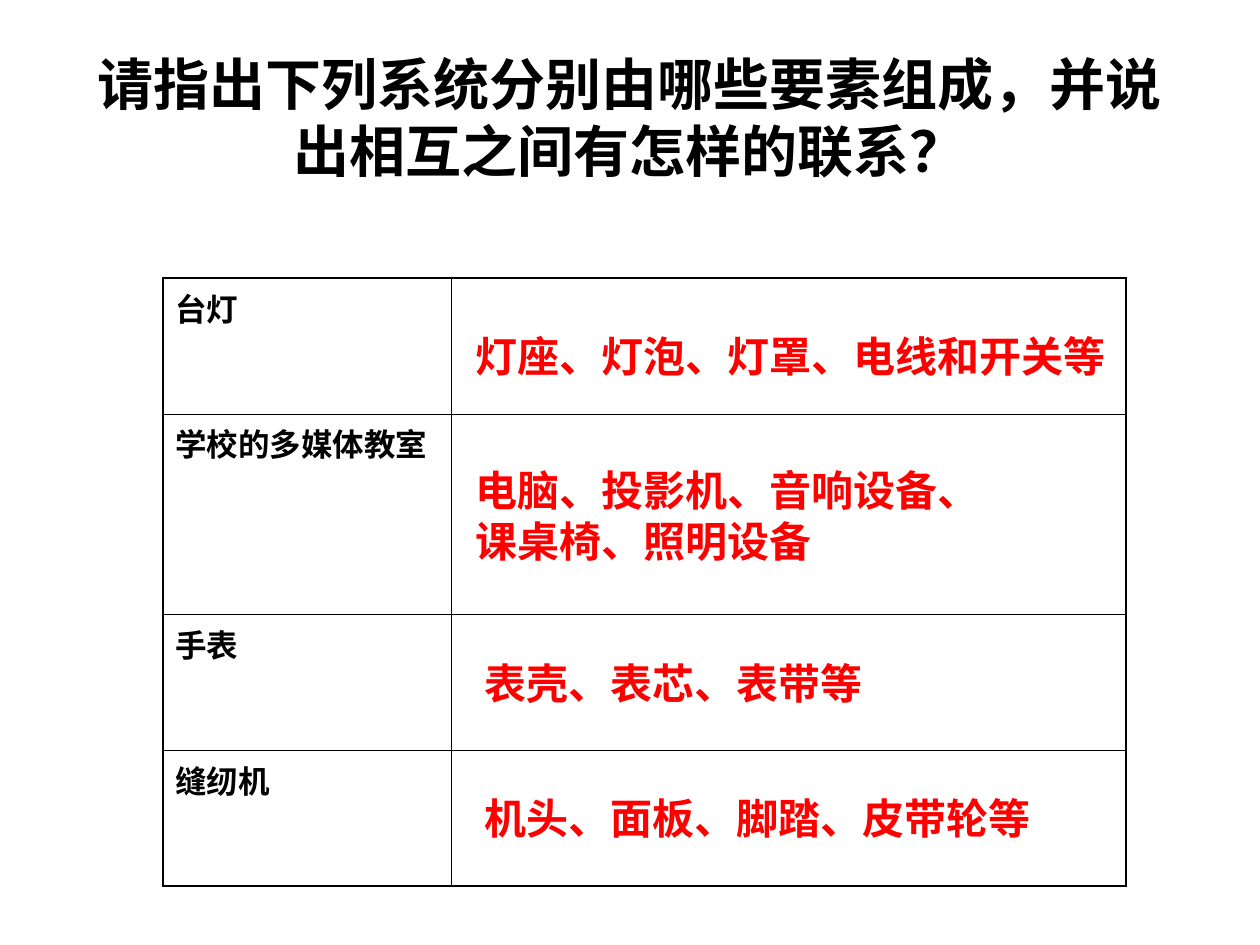
import pptx
import pptx.dml.color
import pptx.enum.text
import pptx.oxml
import pptx.oxml.ns
import pptx.util

Pt = pptx.util.Pt
HUES = {"ink": "000000", "answer": "FF0000"}
TITLE = "请指出下列系统分别由哪些要素组成，并说出相互之间有怎样的联系？"
COLS = [165, 385.5]
# Each row: system, row height
ROWS = [("台灯", 77.6), ("学校的多媒体教室", 114.7), ("手表", 77.6), ("缝纫机", 77.6)]
# Each answer: text, left, top, width, height
NOTES = [
    ("灯座、灯泡、灯罩、电线和开关等", 264.5, 185.5, 376, 36),
    ("电脑、投影机、音响设备、\n课桌椅、照明设备", 264.5, 262, 304, 65),
    ("表壳、表芯、表带等", 270, 372, 232, 36),
    ("机头、面板、脚踏、皮带轮等", 270, 449.5, 328, 36),
]


def style(frame, size, face, hue):
    for para in frame.paragraphs:
        for run in para.runs:
            run.font.size = Pt(size)
            run.font.name = face
            run.font.bold = True
            run.font.color.rgb = pptx.dml.color.RGBColor.from_string(HUES[hue])


def add_title(slide):
    title = slide.shapes.title
    title.left, title.top, title.width, title.height = Pt(36), Pt(21.5), Pt(648), Pt(90)
    frame = title.text_frame
    frame.text = TITLE
    frame.word_wrap = True
    frame.auto_size = pptx.enum.text.MSO_AUTO_SIZE.NONE
    frame.vertical_anchor = pptx.enum.text.MSO_ANCHOR.MIDDLE
    frame.paragraphs[0].alignment = pptx.enum.text.PP_ALIGN.CENTER
    style(frame, 32, "Arial", "ink")


def set_edge(cell, side, width):
    props = cell._tc.get_or_add_tcPr()
    props.append(pptx.oxml.parse_xml(
        f'<a:ln{side} {pptx.oxml.ns.nsdecls("a")} w="{Pt(width)}"><a:solidFill>'
        f'<a:srgbClr val="{HUES["ink"]}"/></a:solidFill></a:ln{side}>'))


def add_grid(slide):
    high = sum(row[1] for row in ROWS)
    table = slide.shapes.add_table(len(ROWS), len(COLS), Pt(93), Pt(159),
                                   Pt(sum(COLS)), Pt(high)).table
    table.first_row = table.horz_banding = False
    for col, width in zip(table.columns, COLS):
        col.width = Pt(width)
    for r, (name, height) in enumerate(ROWS):
        table.rows[r].height = Pt(height)
        table.cell(r, 0).text_frame.text = name
        style(table.cell(r, 0).text_frame, 18, "Arial", "ink")
        for c in range(len(COLS)):
            cell = table.cell(r, c)
            # Outer edges are thicker than inner ones
            outer = {"L": c == 0, "R": c == len(COLS) - 1,
                     "T": r == 0, "B": r == len(ROWS) - 1}
            for side, thick in outer.items():
                set_edge(cell, side, 1.08 if thick else 0.45)
            cell.fill.background()


def add_note(slide, text, left, top, width, height):
    box = slide.shapes.add_textbox(Pt(left), Pt(top), Pt(width), Pt(height))
    frame = box.text_frame
    frame.text = text
    frame.word_wrap = False
    frame.auto_size = pptx.enum.text.MSO_AUTO_SIZE.SHAPE_TO_FIT_TEXT
    style(frame, 24, "Cabin", "answer")


def main():
    deck = pptx.Presentation()
    deck.slide_width, deck.slide_height = Pt(720), Pt(540)
    slide = deck.slides.add_slide(deck.slide_layouts[5])
    add_title(slide)
    add_grid(slide)
    # Answers lie over the right column
    for note in NOTES:
        add_note(slide, *note)
    deck.save("out.pptx")


if __name__ == "__main__":
    main()
